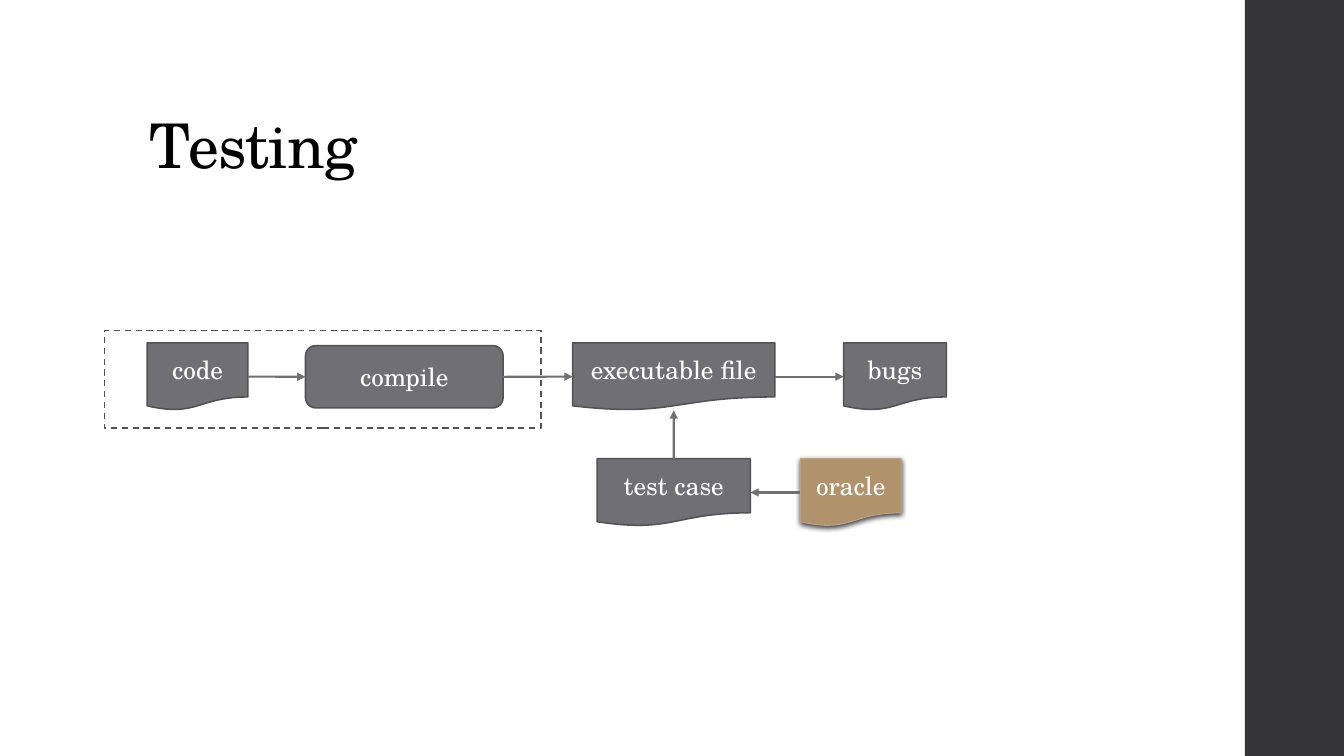
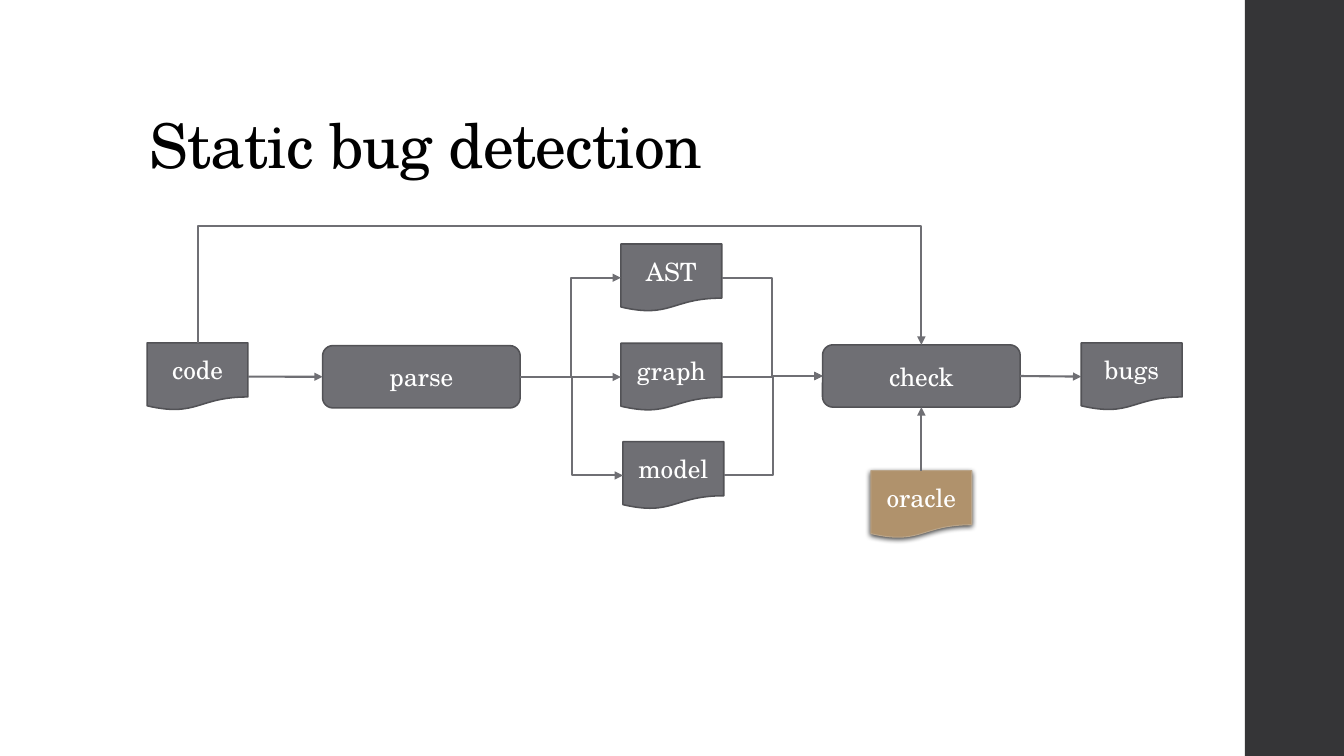
"""Build two slides that compare testing with static bug detection."""
from lxml import etree
from pptx import Presentation
from pptx.dml.color import RGBColor
from pptx.enum.dml import MSO_LINE
from pptx.enum.shapes import MSO_CONNECTOR, MSO_SHAPE
from pptx.enum.text import MSO_ANCHOR, MSO_AUTO_SIZE, PP_ALIGN
from pptx.oxml.ns import qn
from pptx.util import Cm, Pt

DOCUMENT = MSO_SHAPE.FLOWCHART_DOCUMENT
ROUNDED = MSO_SHAPE.ROUNDED_RECTANGLE
RECTANGLE = MSO_SHAPE.RECTANGLE
STRAIGHT = MSO_CONNECTOR.STRAIGHT
ELBOW = MSO_CONNECTOR.ELBOW
DASH = MSO_LINE.DASH
LEFT = PP_ALIGN.LEFT
CENTER = PP_ALIGN.CENTER
MIDDLE = MSO_ANCHOR.MIDDLE
BOTTOM = MSO_ANCHOR.BOTTOM
NO_AUTOFIT = MSO_AUTO_SIZE.NONE

TOP_SITE, LEFT_SITE, BOTTOM_SITE, RIGHT_SITE = range(4)

FONT = "TeX Gyre Schola"
BLACK = "000000"
WHITE = "FFFFFF"
BAND = "353537"
GREY = "6F6F74"
OUTLINE = "525256"
TAN = "B0926C"
TAN_OUTLINE = "B9A489"

SLIDE_WIDTH, SLIDE_HEIGHT = 33.87, 19.05
BAND_LEFT = 31.37
TITLE_ONLY = 5
DOCUMENT_WIDTH, DOCUMENT_HEIGHT = 2.54, 1.7
STEP_WIDTH, STEP_HEIGHT = 4.98, 1.57
CODE_LEFT, MAIN_TOP = 3.71, 8.64
BYPASS_TOP = 5.69


def color(hex_value):
    """Return the colour for a hex string."""
    return RGBColor.from_string(hex_value)


def format_text(shape, text, size, hex_value, alignment, anchor):
    """Write one paragraph in the shared font."""
    frame = shape.text_frame
    frame.text = text
    frame.word_wrap = True
    frame.vertical_anchor = anchor
    paragraph = frame.paragraphs[0]
    paragraph.alignment = alignment
    font = paragraph.runs[0].font
    font.name = FONT
    font.size = Pt(size)
    font.color.rgb = color(hex_value)
    return paragraph


def add_box(slide, kind, left, top, width, height, fill=None, outline=None, weight=1.1):
    """Add a preset shape without a shadow."""
    shape = slide.shapes.add_shape(kind, Cm(left), Cm(top), Cm(width), Cm(height))
    shape.shadow.inherit = False
    if fill:
        shape.fill.solid()
        shape.fill.fore_color.rgb = color(fill)
    else:
        shape.fill.background()
    if outline:
        shape.line.color.rgb = color(outline)
        shape.line.width = Pt(weight)
    else:
        shape.line.fill.background()
    return shape


def add_document(slide, text, left, top, width=DOCUMENT_WIDTH):
    """Add a grey document."""
    shape = add_box(slide, DOCUMENT, left, top, width, DOCUMENT_HEIGHT, GREY, OUTLINE)
    format_text(shape, text, 18, WHITE, CENTER, MIDDLE)
    return shape


def add_step(slide, text, left, top):
    """Add a rounded processing step."""
    shape = add_box(slide, ROUNDED, left, top, STEP_WIDTH, STEP_HEIGHT, GREY, OUTLINE)
    format_text(shape, text, 18, WHITE, CENTER, MIDDLE)
    return shape


def add_oracle(slide, left, top):
    """Add the tan oracle document with its soft shadow."""
    shape = add_box(slide, DOCUMENT, left, top, DOCUMENT_WIDTH, DOCUMENT_HEIGHT,
                    TAN, TAN_OUTLINE, 0.75)
    format_text(shape, "oracle", 18, WHITE, CENTER, MIDDLE)
    effects = shape.element.spPr.find(qn("a:effectLst"))
    shadow = etree.SubElement(effects, qn("a:outerShdw"), blurRad=str(Pt(4)),
                              dist=str(Pt(1.2)), dir="5400000", rotWithShape="0")
    shade = etree.SubElement(shadow, qn("a:srgbClr"), val=BLACK)
    etree.SubElement(shade, qn("a:alpha"), val="75000")
    return shape


def connect(slide, source, target, kind=STRAIGHT, source_site=RIGHT_SITE, target_site=LEFT_SITE):
    """Add an arrow glued to two shapes."""
    connector = slide.shapes.add_connector(kind, 0, 0, 0, 0)
    connector.begin_connect(source, source_site)
    connector.end_connect(target, target_site)
    connector.line.color.rgb = color(GREY)
    connector.line.width = Pt(1.5)
    etree.SubElement(connector.get_or_add_ln(), qn("a:tailEnd"), type="triangle")
    etree.SubElement(connector.element.spPr, qn("a:effectLst"))
    return connector


def connect_over(slide, source, target, crest):
    """Add an arrow that climbs to the crest and drops onto the target."""
    connector = connect(slide, source, target, ELBOW, TOP_SITE, TOP_SITE)
    across = connector.end_x - connector.begin_x
    down = connector.end_y - connector.begin_y
    center_x = connector.begin_x + across // 2
    center_y = connector.begin_y + down // 2
    bend = round((crest - source.top) / down * 100000)
    connector.left, connector.top = center_x - down // 2, center_y - across // 2
    connector.width, connector.height = down, across
    properties = connector.element.spPr
    transform = properties.find(qn("a:xfrm"))
    transform.set("rot", "16200000")
    transform.set("flipH", "1")
    adjustments = properties.find(qn("a:prstGeom")).find(qn("a:avLst"))
    etree.SubElement(adjustments, qn("a:gd"), name="adj1", fmla=f"val {bend}")


def add_slide(presentation, title):
    """Add a title-only slide with the shared title style."""
    slide = presentation.slides.add_slide(presentation.slide_layouts[TITLE_ONLY])
    shape = slide.shapes.title
    shape.left, shape.top = Cm(3.51), Cm(1.02)
    shape.width, shape.height = Cm(26.92), Cm(3.68)
    paragraph = format_text(shape, title, 44, BLACK, LEFT, BOTTOM)
    paragraph.line_spacing = 0.9
    shape.text_frame.auto_size = NO_AUTOFIT
    for run_properties in shape.element.iter(qn("a:rPr")):
        run_properties.set("spc", "-50")
    return slide


def move_band_to_master(presentation, slide):
    """Draw the dark side band and move it to the slide master."""
    band = add_box(slide, RECTANGLE, BAND_LEFT, 0, SLIDE_WIDTH - BAND_LEFT, SLIDE_HEIGHT, BAND)
    presentation.slide_master.shapes.element.insert(2, band.element)


def draw_testing(slide):
    """Draw the testing workflow."""
    code = add_document(slide, "code", CODE_LEFT, MAIN_TOP)
    compile_step = add_step(slide, "compile", 7.7, 8.71)
    executable = add_document(slide, "executable file", 14.43, MAIN_TOP, 5.1)
    test_case = add_document(slide, "test case", 15.05, 11.56, 3.86)
    bugs = add_document(slide, "bugs", 21.26, MAIN_TOP, 2.59)
    oracle = add_oracle(slide, 20.17, 11.56)
    for source, target in ((code, compile_step), (compile_step, executable), (executable, bugs)):
        connect(slide, source, target)
    connect(slide, test_case, executable, STRAIGHT, TOP_SITE, BOTTOM_SITE)
    connect(slide, oracle, test_case, STRAIGHT, LEFT_SITE, RIGHT_SITE)
    build_frame = add_box(slide, RECTANGLE, 2.64, 8.33, 11, 2.46, None, OUTLINE)
    build_frame.line.dash_style = DASH


def draw_static_detection(slide):
    """Draw the static bug detection workflow."""
    code = add_document(slide, "code", CODE_LEFT, MAIN_TOP)
    parse_step = add_step(slide, "parse", 8.13, 8.71)
    check_step = add_step(slide, "check", 20.73, 8.69)
    bugs = add_document(slide, "bugs", 27.25, MAIN_TOP)
    oracle = add_oracle(slide, 21.95, 11.86)
    for text, left, top in (("AST", 15.65, 6.15), ("graph", 15.65, 8.65), ("model", 15.7, 11.13)):
        artifact = add_document(slide, text, left, top)
        connect(slide, parse_step, artifact, ELBOW)
        connect(slide, artifact, check_step, ELBOW)
    connect(slide, code, parse_step)
    connect(slide, check_step, bugs)
    connect(slide, oracle, check_step, STRAIGHT, TOP_SITE, BOTTOM_SITE)
    connect_over(slide, code, check_step, Cm(BYPASS_TOP))


def main():
    """Build and save the presentation."""
    presentation = Presentation()
    presentation.slide_width = Cm(SLIDE_WIDTH)
    presentation.slide_height = Cm(SLIDE_HEIGHT)
    testing = add_slide(presentation, "Testing")
    move_band_to_master(presentation, testing)
    draw_testing(testing)
    draw_static_detection(add_slide(presentation, "Static bug detection"))
    presentation.save("out.pptx")


main()
